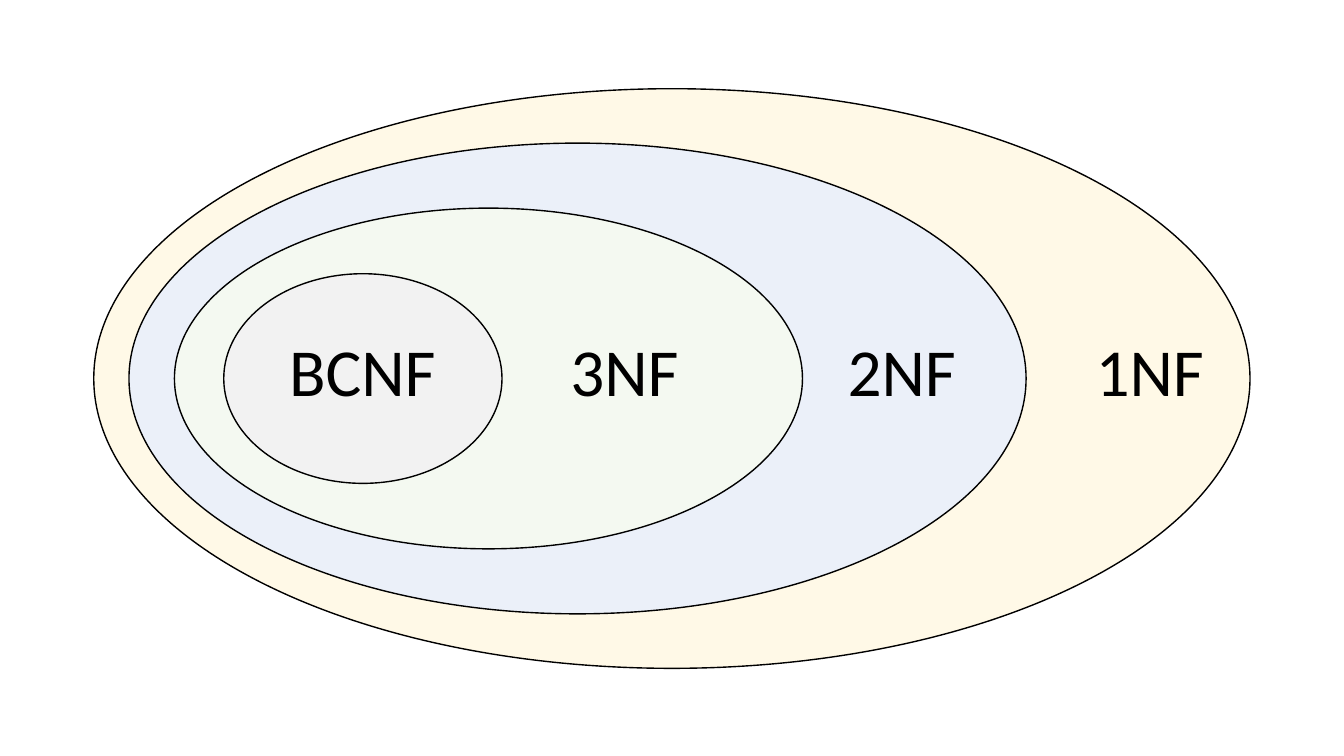
from dataclasses import dataclass

from pptx import Presentation
from pptx.dml.color import RGBColor
from pptx.enum.shapes import MSO_SHAPE
from pptx.enum.text import MSO_ANCHOR, MSO_AUTO_SIZE, PP_ALIGN
from pptx.util import Inches, Pt

WIDE, HIGH = Inches(13.33), Inches(7.5)
RING_MID, TEXT_MID, TEXT_TALL = 50.07, 49, 12.13


@dataclass(frozen=True)
class Form:
    name: str
    fill: str
    left: float
    width: float
    tall: float
    text_left: float
    text_width: float = 13.73


FORMS = [
    Form("1NF", "FFF9E7", 6.98, 86.03, 76.67, 78.68),
    Form("2NF", "EBF0F9", 9.6, 66.75, 62.27, 60.23),
    Form("3NF", "F4F9F1", 12.98, 46.73, 45.07, 39.6),
    Form("BCNF", "F2F2F2", 16.65, 20.7, 27.73, 16.65, 20.63),
]


def color(code: str) -> RGBColor:
    return RGBColor.from_string(code)


def style(item, values: dict) -> None:
    for key, value in values.items():
        setattr(item, key, value)


def area(left: float, mid: float, width: float, tall: float) -> list[int]:
    shares = (left, WIDE), (mid - tall / 2, HIGH), (width, WIDE), (tall, HIGH)
    return [round(share * full / 100) for share, full in shares]


def draw_ring(shapes, form: Form) -> None:
    ring = shapes.add_shape(
        MSO_SHAPE.OVAL, *area(form.left, RING_MID, form.width, form.tall)
    )
    ring.shadow.inherit = False
    ring.fill.solid()
    ring.fill.fore_color.rgb = color(form.fill)
    ring.line.color.rgb = color("000000")
    ring.line.width = Pt(1)


def draw_label(shapes, form: Form) -> None:
    box = shapes.add_textbox(
        *area(form.text_left, TEXT_MID, form.text_width, TEXT_TALL)
    )
    frame = box.text_frame
    style(frame, FRAME)
    line = frame.paragraphs[0]
    line.alignment = PP_ALIGN.CENTER
    run = line.add_run()
    run.text = form.name
    style(run.font, FONT)
    run.font.color.rgb = color("000000")


FRAME = {
    "word_wrap": True,
    "auto_size": MSO_AUTO_SIZE.SHAPE_TO_FIT_TEXT,
    "vertical_anchor": MSO_ANCHOR.TOP,
}
FONT = {"name": "Calibri", "size": Pt(48)}

deck = Presentation()
style(deck, {"slide_width": WIDE, "slide_height": HIGH})
slide = deck.slides.add_slide(deck.slide_layouts[6])
for draw in (draw_ring, draw_label):
    for form in FORMS:
        draw(slide.shapes, form)
deck.save("out.pptx")
